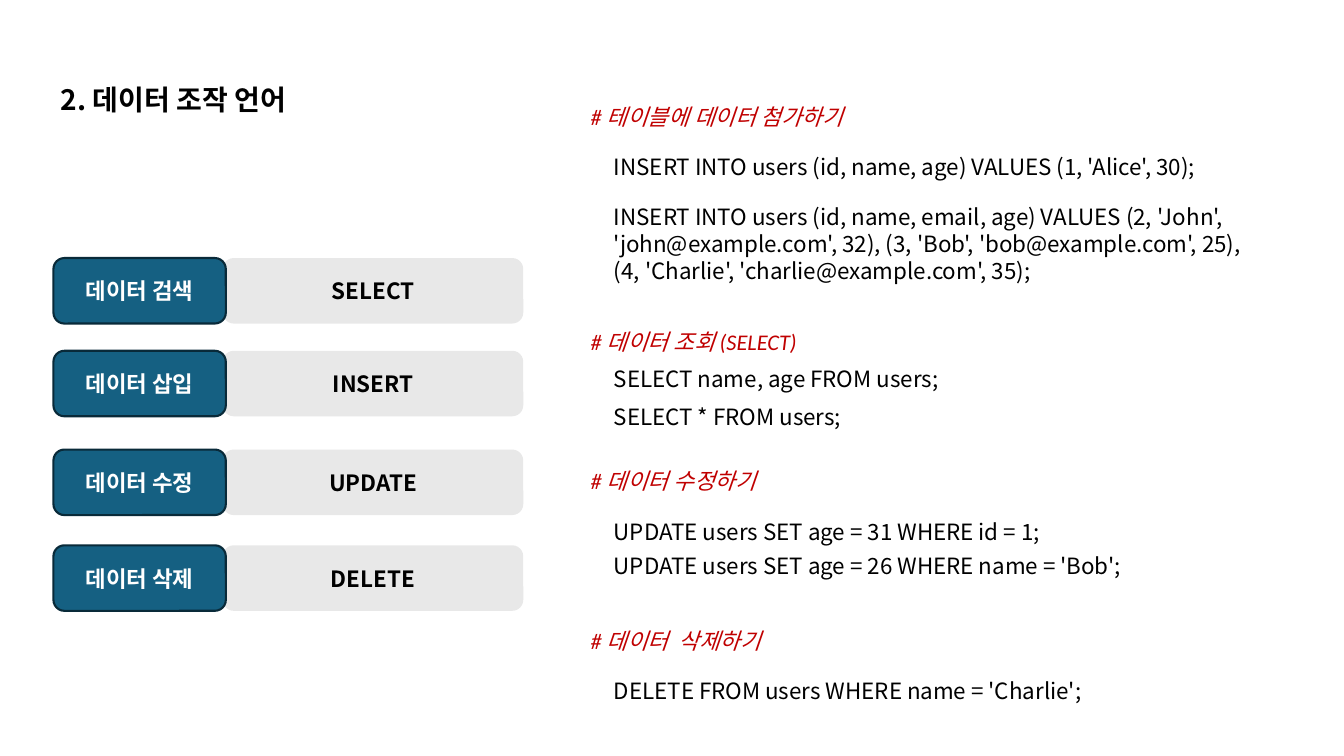
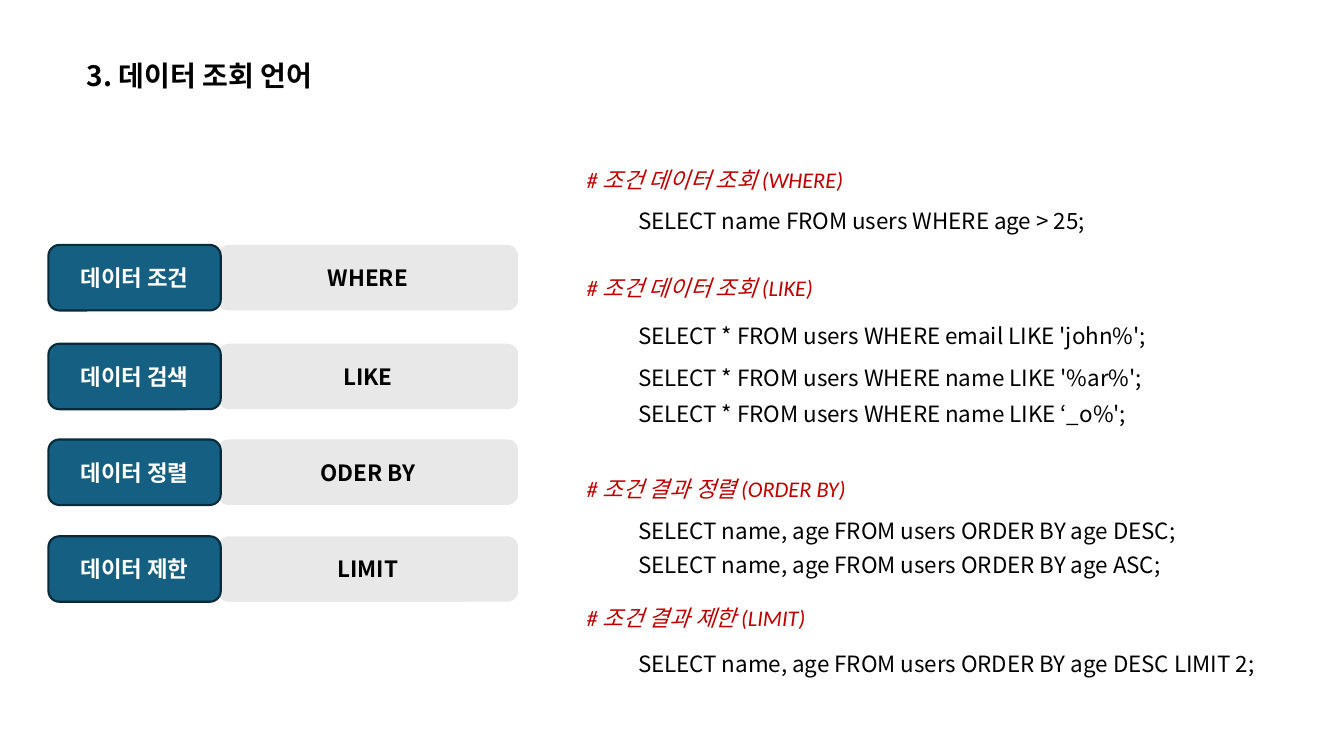
from lxml import etree
from pptx import Presentation
from pptx.dml.color import RGBColor
from pptx.enum import shapes, text
from pptx.oxml import ns
from pptx.util import Inches, Pt

BLACK = RGBColor(0x00, 0x00, 0x00)
WHITE = RGBColor(0xFF, 0xFF, 0xFF)
RED = RGBColor(0xC0, 0x00, 0x00)
TEAL = RGBColor(0x15, 0x60, 0x82)
DARK_TEAL = RGBColor(0x09, 0x2A, 0x39)
GREY = RGBColor(0xE8, 0xE8, 0xE8)

KOREAN = "Noto Sans CJK KR"
TITLE = {"name": KOREAN, "size": Pt(20), "bold": True}
HEADING = {"name": "Calibri", "size": Pt(16), "italic": True}
CODE = {"name": KOREAN, "size": Pt(16)}
LABEL = {"name": KOREAN, "size": Pt(16), "bold": True}

LINE_H = 0.37
CODE_W = 6.29
HEADING_W = 4.69
CARD_H = 0.65
TASK_W = 1.71
KEYWORD_X = 1.68
KEYWORD_W = 2.98

SLIDES = [
    {
        "title": ("2. 데이터 조작 언어", (0.5, 0.77, 3.31, 0.44)),
        "cards_at": (0.53, 2.56),
        "cards": [
            (0, "데이터 검색", "SELECT"),
            (0.92, "데이터 삽입", "INSERT"),
            (1.9, "데이터 수정", "UPDATE"),
            (2.85, "데이터 삭제", "DELETE"),
        ],
        "examples_at": (5.76, 0.97),
        "indent": 0.23,
        "examples": [
            (0, "# 테이블에 데이터 첨가하기", [
                (0.5, "INSERT INTO users (id, name, age) VALUES (1, 'Alice', 30);"),
                (1, "INSERT INTO users (id, name, email, age) VALUES (2, 'John', "
                    "'john@example.com', 32), (3, 'Bob', 'bob@example.com', 25), "
                    "(4, 'Charlie', 'charlie@example.com', 35);", 6.55, 0.91),
            ]),
            (2.24, "# 데이터 조회 (SELECT)", [
                (2.6, "SELECT name, age FROM users;"),
                (2.98, "SELECT * FROM users;"),
            ]),
            (3.62, "# 데이터 수정하기", [
                (4.12, "UPDATE users SET age = 31 WHERE id = 1;", 5.34),
                (4.46, "UPDATE users SET age = 26 WHERE name = 'Bob';", 6.06),
            ]),
            (5.2, "# 데이터  삭제하기", [
                (5.7, "DELETE FROM users WHERE name = 'Charlie';"),
            ]),
        ],
    },
    {
        "title": ("3. 데이터 조회 언어", (0.76, 0.53, 6.67, 0.44)),
        "cards_at": (0.48, 2.43),
        "cards": [
            (0, "데이터 조건", "WHERE"),
            (0.98, "데이터 검색", "LIKE"),
            (1.93, "데이터 정렬", "ODER BY"),
            (2.89, "데이터 제한", "LIMIT"),
        ],
        "examples_at": (5.72, 1.6),
        "indent": 0.51,
        "examples": [
            (0, "# 조건 데이터 조회 (WHERE)", [
                (0.41, "SELECT name FROM users WHERE age > 25;"),
            ]),
            (1.07, "# 조건 데이터 조회 (LIKE)", [
                (1.55, "SELECT * FROM users WHERE email LIKE 'john%';"),
                (1.96, "SELECT * FROM users WHERE name LIKE '%ar%';", 6.67),
                (2.32, "SELECT * FROM users WHERE name LIKE ‘_o%';", 6.67),
            ]),
            (3.06, "# 조건 결과 정렬 (ORDER BY)", [
                (3.48, "SELECT name, age FROM users ORDER BY age DESC;"),
                (3.82, "SELECT name, age FROM users ORDER BY age ASC;"),
            ]),
            (4.34, "# 조건 결과 제한 (LIMIT)", [
                (4.8, "SELECT name, age FROM users ORDER BY age DESC LIMIT 2;", 6.63),
            ]),
        ],
    },
]


def write(frame, words, style, color, align=text.PP_ALIGN.LEFT,
          anchor=text.MSO_ANCHOR.TOP):
    frame.word_wrap = True
    frame.auto_size = text.MSO_AUTO_SIZE.NONE
    frame.vertical_anchor = anchor
    paragraph = frame.paragraphs[0]
    paragraph.alignment = align
    run = paragraph.add_run()
    run.text = words
    for attribute, value in style.items():
        setattr(run.font, attribute, value)
    run.font.color.rgb = color
    east_asian = etree.SubElement(run.font._element, ns.qn("a:ea"))
    east_asian.set("typeface", KOREAN)


def add_title(slide, words, box):
    title = slide.shapes.title
    for side, length in zip(("left", "top", "width", "height"), box):
        setattr(title, side, Inches(length))
    write(title.text_frame, words, TITLE, BLACK)


def add_line(slide, box, words, style, color):
    line = slide.shapes.add_textbox(*map(Inches, box))
    write(line.text_frame, words, style, color)


def add_card(slide, box, words, fill, color, outline=None):
    card = slide.shapes.add_shape(
        shapes.MSO_SHAPE.ROUNDED_RECTANGLE, *map(Inches, box))
    card.shadow.inherit = False
    card.fill.solid()
    card.fill.fore_color.rgb = fill
    if outline is None:
        card.line.fill.background()
    else:
        card.line.color.rgb = outline
        card.line.width = Pt(1.5)
    write(card.text_frame, words, LABEL, color,
          text.PP_ALIGN.CENTER, text.MSO_ANCHOR.MIDDLE)


def add_command_cards(slide, left, top, cards):
    for offset, task, keyword in cards:
        y = top + offset
        add_card(slide, (left + KEYWORD_X, y, KEYWORD_W, CARD_H), keyword, GREY, BLACK)
        add_card(slide, (left, y, TASK_W, CARD_H), task, TEAL, WHITE, DARK_TEAL)


def add_examples(slide, left, top, indent, examples):
    for offset, heading, statements in examples:
        add_line(slide, (left, top + offset, HEADING_W, LINE_H), heading, HEADING, RED)
        for drop, statement, *size in statements:
            width, height = (size + [CODE_W, LINE_H][len(size):])
            add_line(slide, (left + indent, top + drop, width, height),
                     statement, CODE, BLACK)


def main():
    deck = Presentation()
    deck.slide_width = Inches(13.33)
    deck.slide_height = Inches(7.5)
    for content in SLIDES:
        slide = deck.slides.add_slide(deck.slide_layouts.get_by_name("Title Only"))
        add_title(slide, *content["title"])
        add_command_cards(slide, *content["cards_at"], content["cards"])
        add_examples(slide, *content["examples_at"], content["indent"],
                     content["examples"])
    deck.save("out.pptx")


if __name__ == "__main__":
    main()
